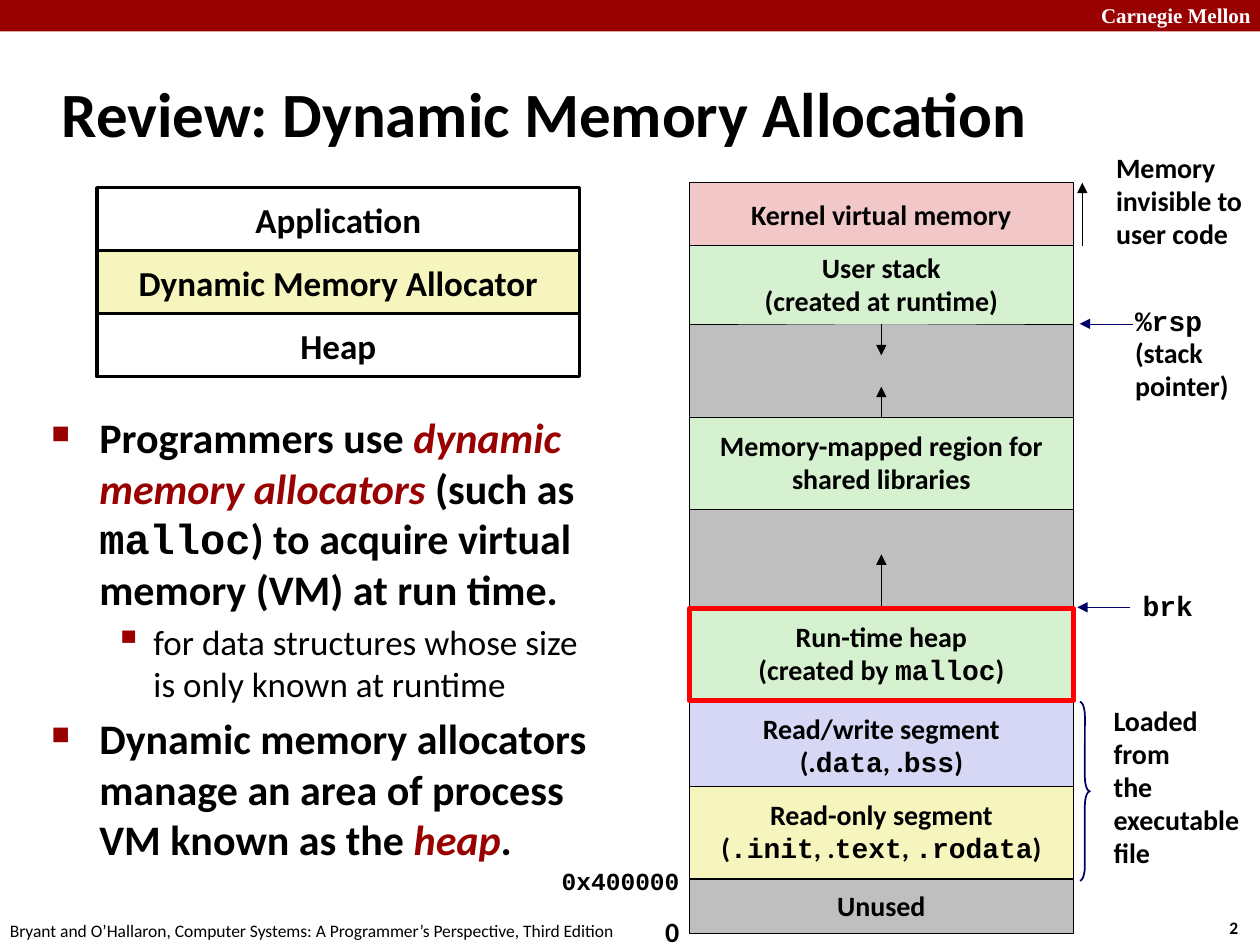
from collections import namedtuple

from lxml.etree import SubElement
from pptx import Presentation
from pptx.dml.color import RGBColor
from pptx.enum.shapes import MSO_CONNECTOR, MSO_SHAPE
from pptx.enum.text import MSO_ANCHOR, PP_ALIGN
from pptx.oxml.ns import qn
from pptx.util import Inches, Pt

COLUMNS, ROWS = 100, 75
SLIDE_WIDTH, SLIDE_HEIGHT = Inches(10), Inches(7.5)
BLACK, WHITE, RED, NAVY = "000000", "FFFFFF", "990000", "000066"
PINK, GREEN, GRAY, LILAC, YELLOW = "F1C7C7", "D5F1CF", "BFBFBF", "D6D6F5", "F6F5BD"
HIGHLIGHT = "FF0000"

Box = namedtuple("Box", "left top width height")


def inside(box, left, top, width, height):
    return Box(box.left + left, box.top + top, width, height)


def across(columns):
    return round(SLIDE_WIDTH * columns / COLUMNS)


def down(rows):
    return round(SLIDE_HEIGHT * rows / ROWS)


def measures(box):
    return across(box.left), down(box.top), across(box.width), down(box.height)


def color(value):
    return RGBColor.from_string(value)


def write(paragraph, text, size=16, font="Calibri", fill=BLACK, bold=True):
    for emphasis_index, stretch in enumerate(text.split("*")):
        for code_index, piece in enumerate(stretch.split("`")):
            if not piece:
                continue
            run = paragraph.add_run()
            run.text = piece
            run.font.size = Pt(size)
            run.font.bold = bold
            run.font.italic = emphasis_index % 2 == 1
            run.font.name = "Courier New" if code_index % 2 else font
            run.font.color.rgb = color(RED if emphasis_index % 2 else fill)


def add_lines(frame, text, align=PP_ALIGN.LEFT, anchor=MSO_ANCHOR.TOP,
              wrap=True, spacing=None, **style):
    frame.word_wrap = wrap
    frame.vertical_anchor = anchor
    for index, line in enumerate(text.split("\n")):
        paragraph = frame.paragraphs[0] if index == 0 else frame.add_paragraph()
        paragraph.alignment = align
        if spacing:
            paragraph.line_spacing = 0.94 if line.startswith("`") else spacing
        write(paragraph, line, **style)


def add_label(slide, box, text, **style):
    add_lines(slide.shapes.add_textbox(*measures(box)).text_frame, text, **style)


def add_block(slide, box, text="", fill=WHITE, line=BLACK, weight=0.25,
              spacing=None, size=16):
    shape = slide.shapes.add_shape(MSO_SHAPE.RECTANGLE, *measures(box))
    shape.shadow.inherit = False
    shape.fill.solid()
    shape.fill.fore_color.rgb = color(fill)
    if line:
        shape.line.color.rgb = color(line)
        shape.line.width = Pt(weight)
    else:
        shape.line.fill.background()
    if text:
        add_lines(shape.text_frame, text, align=PP_ALIGN.CENTER, wrap=False,
                  anchor=MSO_ANCHOR.MIDDLE, spacing=spacing, size=size)


def add_arrow(slide, box, start, end, line=BLACK):
    arrow = slide.shapes.add_connector(
        MSO_CONNECTOR.STRAIGHT,
        across(box.left + start[0]), down(box.top + start[1]),
        across(box.left + end[0]), down(box.top + end[1]))
    arrow.line.color.rgb = color(line)
    arrow.line.width = Pt(0.25)
    SubElement(arrow.line._get_or_add_ln(), qn("a:tailEnd"), type="triangle")
    SubElement(arrow._element.spPr, qn("a:effectLst"))


def add_bullet(paragraph, symbol, percent, margin, hanging):
    properties = paragraph._p.get_or_add_pPr()
    properties.set("marL", str(across(margin)))
    properties.set("indent", str(-across(hanging)))
    bullet_color = SubElement(properties, qn("a:buClr"))
    SubElement(bullet_color, qn("a:srgbClr"), val=RED)
    SubElement(properties, qn("a:buSzPct"), val=str(percent * 1000))
    SubElement(properties, qn("a:buChar"), char=symbol)


def frame_slide(slide, box):
    add_block(slide, inside(box, 0, 0, box.width, 2.5), fill=RED, line=None)
    add_label(slide, inside(box, 86.4, -0.3, 14.3, 3), "Carnegie Mellon",
              size=12, font="Times New Roman", fill=WHITE)
    add_label(slide, inside(box, 96.6, 72.3, 3.7, 2.7), "2", size=10, wrap=False)
    add_label(slide, inside(box, -0.2, 72.5, 50.8, 2.7),
              "Bryant and O’Hallaron, Computer Systems: "
              "A Programmer’s Perspective, Third Edition",
              size=10, bold=False, wrap=False)
    add_label(slide, inside(box, 3.9, 4.8, 83, 8.3),
              "Review: Dynamic Memory Allocation", size=36, anchor=MSO_ANCHOR.MIDDLE)


def layer_stack(slide, box):
    layers = [("Application", WHITE), ("Dynamic Memory Allocator", YELLOW), ("Heap", WHITE)]
    height = box.height / len(layers)
    for index, (name, fill) in enumerate(layers):
        add_block(slide, inside(box, 0, index * height, box.width, height),
                  name, fill=fill, weight=2, size=20)


def bullet_list(slide, box):
    points = [
        (0, "Programmers use *dynamic memory allocators *(such as `malloc`) "
            "to acquire virtual memory (VM) at run time."),
        (1, "for data structures whose size is only known at runtime"),
        (0, "Dynamic memory allocators manage an area of process VM known as the *heap*."),
    ]
    levels = [("■", 60, 3.8, 3.8, 24, True), ("▪", 110, 8.1, 3.1, 20, False)]
    frame = slide.shapes.add_textbox(*measures(box)).text_frame
    frame.word_wrap = True
    for index, (level, text) in enumerate(points):
        symbol, percent, margin, hanging, size, bold = levels[level]
        paragraph = frame.add_paragraph() if index else frame.paragraphs[0]
        paragraph.level = level
        if index:
            paragraph.space_before = Pt(size * 0.2)
        add_bullet(paragraph, symbol, percent, margin, hanging)
        write(paragraph, text, size=size, bold=bold)


def memory_map(slide, box):
    regions = [
        (0, 5.3, PINK, "Kernel virtual memory"),
        (8.7, 9.9, GRAY, ""),
        (5, 6.2, GREEN, "User stack\n(created at runtime)"),
        (18.6, 7.3, GREEN, "Memory-mapped region for\nshared libraries"),
        (25.9, 7.9, GRAY, ""),
        (41.1, 7.3, LILAC, "Read/write segment\n(.`data`, .`bss`)"),
        (47.9, 7.3, YELLOW, "Read-only segment\n(`.init`, .`text`, `.rodata`)"),
        (55.3, 4.3, GRAY, "Unused"),
    ]
    for top, height, fill, text in regions:
        add_block(slide, inside(box, 0, top, box.width, height), text,
                  fill=fill, spacing=0.98)
    middle = box.width / 2
    for start, end in [(33.7, 29.5), (18.7, 16.2), (11.2, 13.7)]:
        add_arrow(slide, box, (middle, start), (middle, end))
    add_block(slide, inside(box, 0, 33.8, box.width, 7.3),
              "Run-time heap\n(created by `malloc`)",
              fill=GREEN, line=HIGHLIGHT, weight=3, spacing=0.98)


def memory_notes(slide, box):
    notes = [
        (32.9, -2.9, 12.6, 8.9, "Memory\ninvisible to\nuser code"),
        (34.4, 9.3, 9.5, 8.8, "`%rsp`\n(stack\npointer)"),
        (35, 31.9, 6, 3.6, "`brk`"),
        (32.7, 41, 12.6, 14.2, "Loaded\nfrom\nthe\nexecutable\nfile"),
    ]
    for left, top, width, height, text in notes:
        add_label(slide, inside(box, left, top, width, height), text, spacing=0.98)
    add_label(slide, inside(box, -11.1, 53.9, 11.4, 3.3), "`0x400000`",
              size=14, spacing=0.98)
    add_label(slide, inside(box, -2.9, 57.7, 3.1, 3.7), "0", wrap=False, spacing=0.98)
    add_arrow(slide, box, (31.2, 5), (31.2, 0))
    add_arrow(slide, box, (35.2, 11.2), (31, 11.2), line=NAVY)
    add_arrow(slide, box, (35, 33.7), (30.8, 33.7), line=NAVY)
    brace = slide.shapes.add_shape(
        MSO_SHAPE.RIGHT_BRACE, *measures(inside(box, 31, 41.2, 0.8, 14.2)))
    brace.shadow.inherit = False
    brace.adjustments[0] = 1.42
    brace.fill.background()
    brace.line.color.rgb = color(NAVY)
    brace.line.width = Pt(1)


def main():
    presentation = Presentation()
    presentation.slide_width, presentation.slide_height = SLIDE_WIDTH, SLIDE_HEIGHT
    slide = presentation.slides.add_slide(presentation.slide_layouts[6])
    memory_box = Box(54.7, 14.5, 30.5, 59.6)
    frame_slide(slide, Box(0, 0, COLUMNS, ROWS))
    bullet_list(slide, Box(3.1, 32.2, 44.8, 41.7))
    layer_stack(slide, Box(7.7, 14.9, 38.3, 15))
    memory_map(slide, memory_box)
    memory_notes(slide, memory_box)
    presentation.save("out.pptx")


if __name__ == "__main__":
    main()
